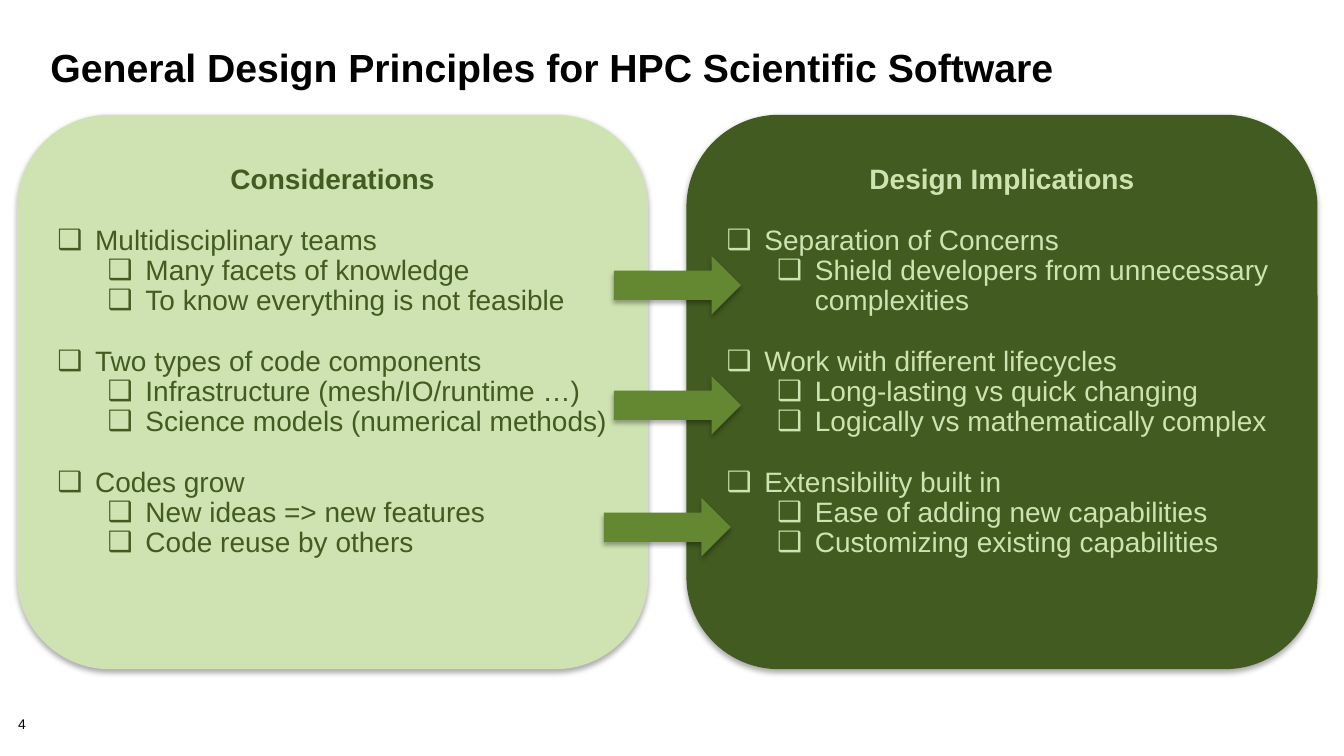
from lxml.etree import SubElement
from pptx import Presentation
from pptx.dml.color import RGBColor
from pptx.enum.shapes import MSO_SHAPE
from pptx.enum.text import MSO_ANCHOR, MSO_AUTO_SIZE, PP_ALIGN
from pptx.oxml.ns import qn
from pptx.util import Pt

TITLE = "General Design Principles for HPC Scientific Software"
PAGE = "4"
PALE, DARK, MID, BLACK = "CEE3B1", "425B20", "638831", "000000"

# heading, left, fill, text colour, topics with their points
PANELS = [
    ("Considerations", 12.2, PALE, DARK, [
        ("Multidisciplinary teams",
         ["Many facets of knowledge", "To know everything is not feasible"]),
        ("Two types of code components",
         ["Infrastructure (mesh/IO/runtime …)",
          "Science models (numerical methods)"]),
        ("Codes grow",
         ["New ideas => new features", "Code reuse by others"]),
    ]),
    ("Design Implications", 490.3, DARK, PALE, [
        ("Separation of Concerns",
         ["Shield developers from unnecessary complexities"]),
        ("Work with different lifecycles",
         ["Long-lasting vs quick changing",
          "Logically vs mathematically complex"]),
        ("Extensibility built in",
         ["Ease of adding new capabilities",
          "Customizing existing capabilities"]),
    ]),
]
ARROWS = [(438.5, 182.9), (438.5, 268.6), (431.3, 355.7)]

TOP, WIDE, HIGH = 82, 450.8, 396
HANG, STEP, GAP = 27, 36, 21.6


def color(code):
    return RGBColor.from_string(code)


def style(para, size, code, bold=False, lines=0.9):
    para.line_spacing = lines
    for run in para.runs:
        font = run.font
        font.name, font.size, font.bold = "Arial", Pt(size), bold
        font.color.rgb = color(code)


def block(kind, left, top, width, height, fill):
    """Add a filled shape with a soft shadow below it."""
    shape = slide.shapes.add_shape(
        kind, Pt(left), Pt(top), Pt(width), Pt(height))
    shape.fill.solid()
    shape.fill.fore_color.rgb = color(fill)
    shape.line.fill.background()
    shape.shadow.inherit = False
    effects = shape._element.spPr.find(qn("a:effectLst"))
    shade = SubElement(effects, qn("a:outerShdw"), blurRad=str(Pt(3.5)),
                       dist=str(Pt(2.2)), dir="5400000", rotWithShape="0")
    tint = SubElement(shade, qn("a:srgbClr"), val=BLACK)
    SubElement(tint, qn("a:alpha"), val="32000")
    return shape


def bullet(frame, text, level, code):
    para = frame.add_paragraph()
    para.text = text
    para.level = level
    para.alignment = PP_ALIGN.LEFT
    if level == 0:
        para.space_before = Pt(GAP)
    props = para._p.get_or_add_pPr()
    props.set("marL", str(Pt(HANG + level * STEP)))
    props.set("indent", str(-Pt(HANG)))
    SubElement(props, qn("a:buFont"), typeface="Arial")
    SubElement(props, qn("a:buChar"), char="❑")
    style(para, 20, code)


def panel(head, left, fill, code, topics):
    shape = block(MSO_SHAPE.ROUNDED_RECTANGLE, left, TOP, WIDE, HIGH, fill)
    frame = shape.text_frame
    frame.word_wrap = True
    frame.vertical_anchor = MSO_ANCHOR.TOP
    frame.margin_left = frame.margin_right = Pt(9.4)
    frame.margin_top, frame.margin_bottom = Pt(17), Pt(5)
    frame.text = head
    first = frame.paragraphs[0]
    first.alignment = PP_ALIGN.CENTER
    style(first, 20, code, bold=True)
    for topic, points in topics:
        bullet(frame, topic, 0, code)
        for point in points:
            bullet(frame, point, 1, code)


deck = Presentation()
deck.slide_width, deck.slide_height = Pt(960), Pt(540)
slide = deck.slides.add_slide(deck.slide_layouts[5])

title = slide.shapes.title
title.left, title.top, title.width, title.height = (
    Pt(28.8), Pt(32.4), Pt(895.7), Pt(72))
frame = title.text_frame
frame.text = TITLE
frame.auto_size = MSO_AUTO_SIZE.NONE
frame.vertical_anchor = MSO_ANCHOR.TOP
frame.paragraphs[0].alignment = PP_ALIGN.LEFT
style(frame.paragraphs[0], 28, BLACK, bold=True, lines=0.85)

for item in PANELS:
    panel(*item)
for left, top in ARROWS:
    block(MSO_SHAPE.RIGHT_ARROW, left, top, 90.7, 41.8, MID)

number = slide.shapes.add_textbox(Pt(13), Pt(512.6), Pt(40), Pt(11.5))
frame = number.text_frame
frame.word_wrap = True
frame.margin_left = frame.margin_right = 0
frame.margin_top = frame.margin_bottom = 0
frame.text = PAGE
style(frame.paragraphs[0], 10, BLACK)

deck.save("out.pptx")
